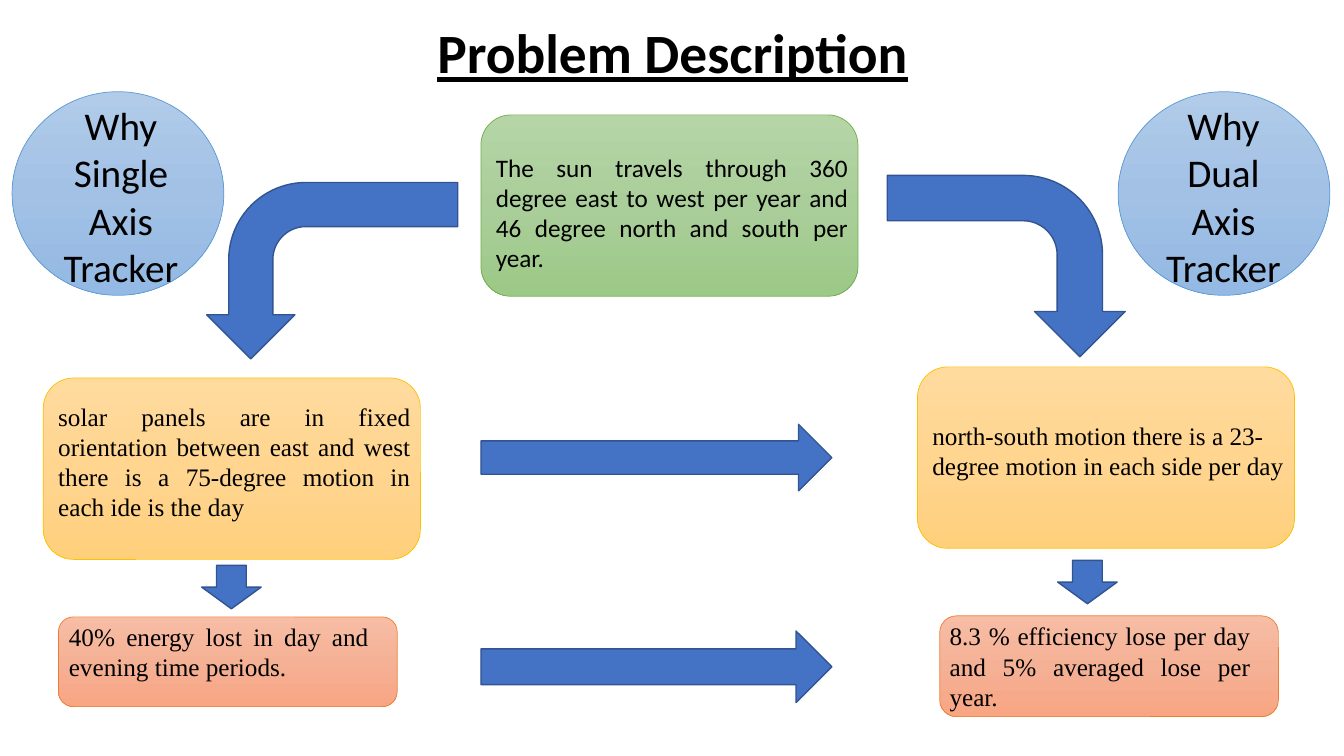
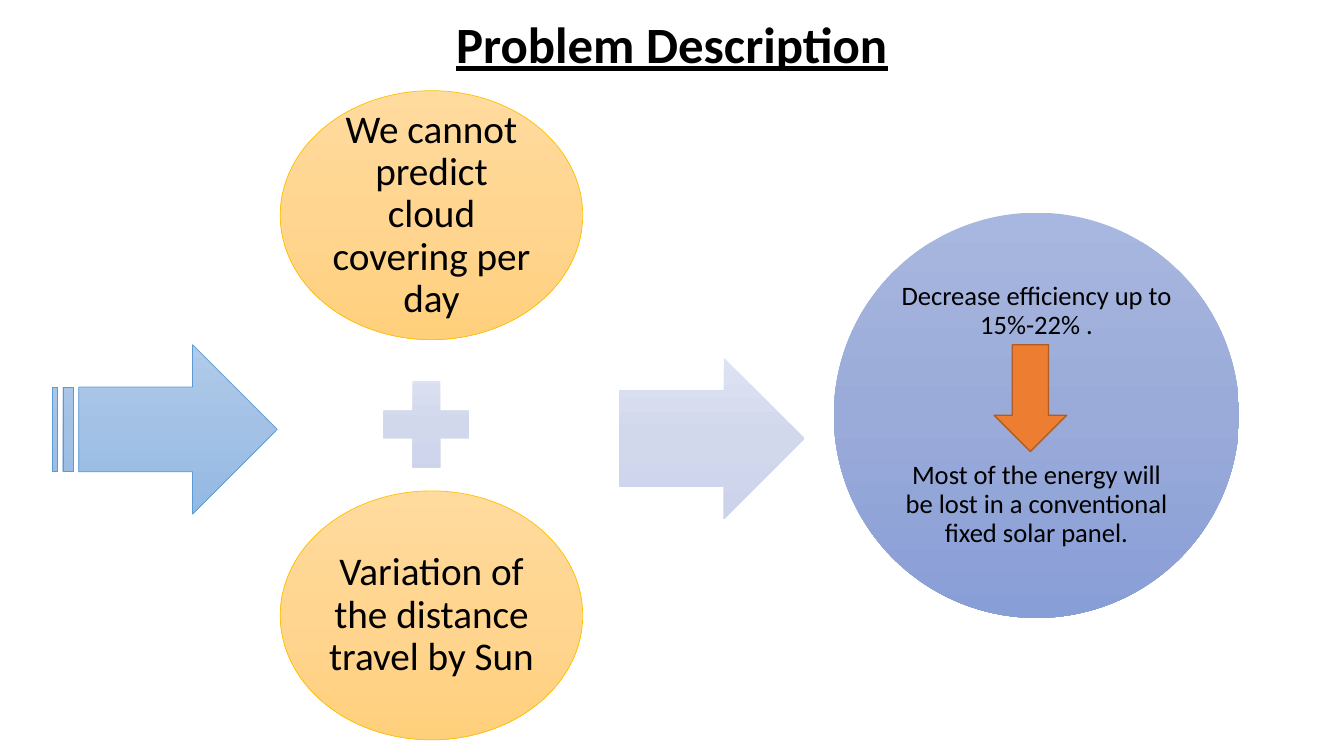
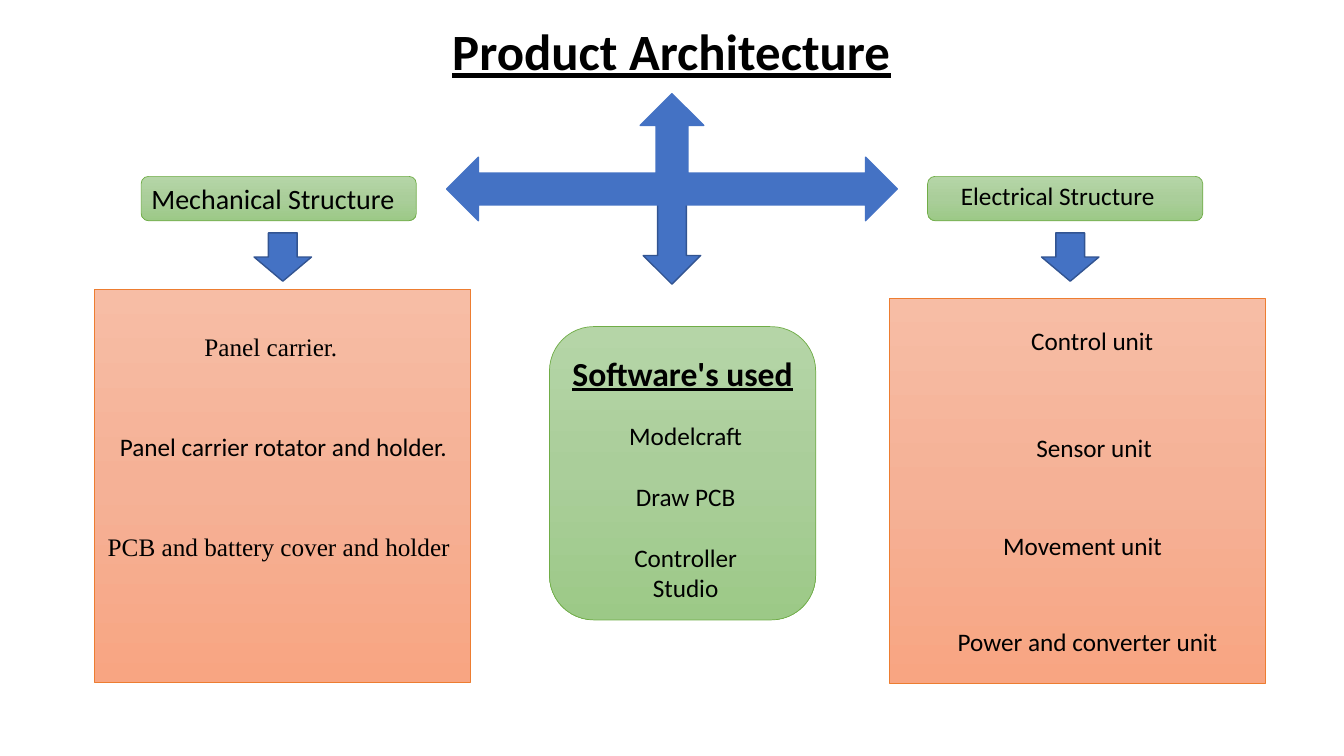
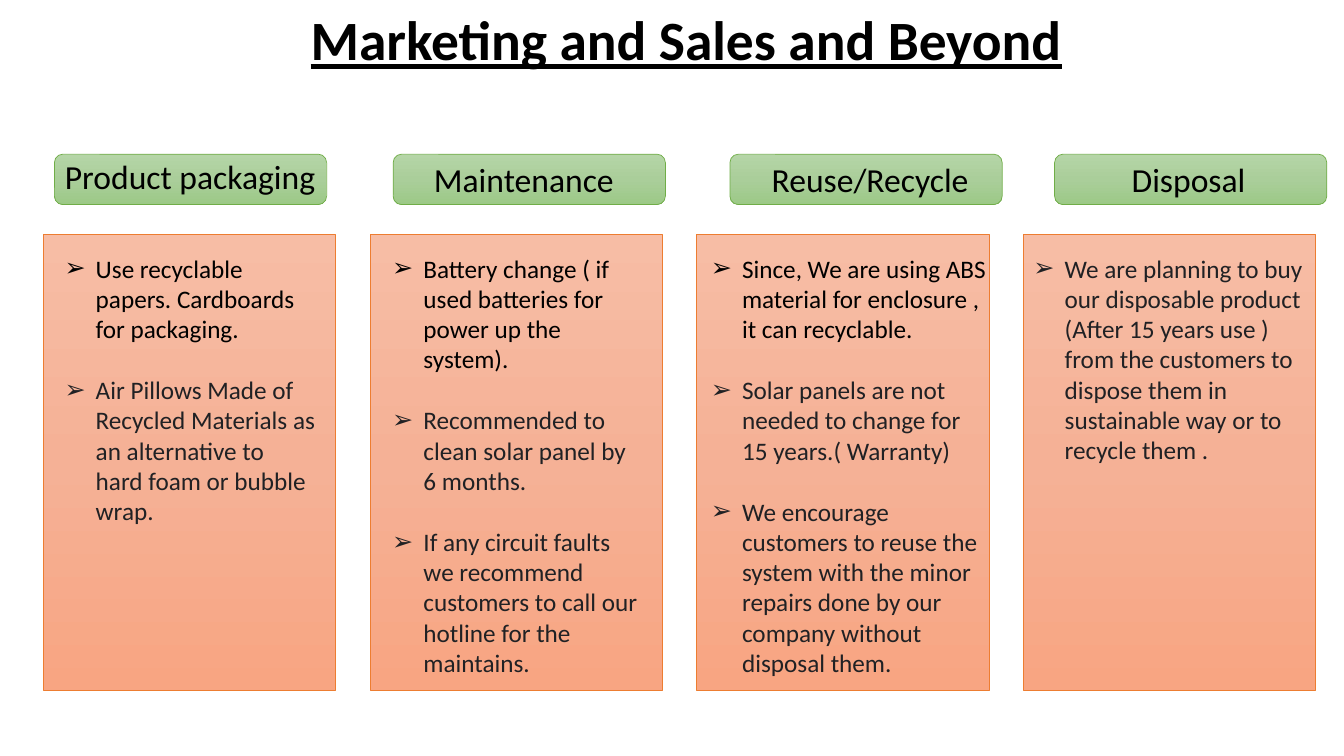
from copy import deepcopy
from dataclasses import dataclass

from lxml.etree import SubElement
from pptx import Presentation
from pptx.dml.color import RGBColor
from pptx.enum.shapes import MSO_SHAPE
from pptx.enum.text import MSO_ANCHOR, MSO_AUTO_SIZE, PP_ALIGN
from pptx.oxml.ns import qn
from pptx.util import Inches, Pt


@dataclass(frozen=True)
class Paint:
    stops: tuple
    line: str = ""
    width: float = 0.5


@dataclass(frozen=True)
class Theme:
    sky: Paint = Paint(("B1CBE9", "A3C1E5", "93B9E4"), "5B9BD5")
    peach: Paint = Paint(("F7BDA5", "F5B196", "F8A582"), "ED7D31")
    gold: Paint = Paint(("FFDB9E", "FFD590", "FFD07C"), "FFC000")
    green: Paint = Paint(("B5D5A7", "AACE9A", "9CC987"), "70AD47")
    pale: Paint = Paint(("DEE3F2", "D2D8EC", "CCD3EB"))
    violet: Paint = Paint(("A8B7DF", "9AABD9", "889ED7"))
    blue: Paint = Paint(("4472C4",), "325491", 1)
    plain_blue: Paint = Paint(("4472C4",), "4472C4", 1)
    orange: Paint = Paint(("ED7D31",), "AF5C24", 1)
    ink: str = "000000"
    soft_ink: str = "202124"
    sans: str = "Calibri"
    serif: str = "Times New Roman"
    title: float = 39.6
    small_title: float = 36.3
    large: float = 28
    heading: float = 24
    label: float = 20
    note: float = 19
    body: float = 18
    item_gap: float = 22
    bullet: str = "➢"
    bullet_indent: float = 0.31


THEME = Theme()
TITLE_AND_CONTENT, COMPARISON, TITLE_ONLY = 1, 4, 5


class Deck:
    def __init__(self, theme):
        self.theme = theme
        self.file = Presentation()
        self.file.slide_width = Inches(13.33)
        self.file.slide_height = Inches(7.5)
        self.page = None

    def add_page(self, layout, title, at, size, align=PP_ALIGN.CENTER):
        self.page = self.file.slides.add_slide(self.file.slide_layouts[layout])
        box = self.page.shapes.title
        self.place(box, at)
        self.set_text(box, [title], size, align=align, spacing=0.8,
                      anchor=MSO_ANCHOR.MIDDLE, bold=True, underline=True)

    def place(self, box, at):
        box.left, box.top, box.width, box.height = map(Inches, at)

    def paint(self, shape, paint):
        fill = shape.fill
        if len(paint.stops) == 1:
            fill.solid()
            fill.fore_color.rgb = RGBColor.from_string(paint.stops[0])
        else:
            fill.gradient()
            fill.gradient_angle = 270
            stop_list = shape._element.spPr.find(".//" + qn("a:gsLst"))
            stop_list.insert(1, deepcopy(stop_list[0]))
            for stop, color, position in zip(fill.gradient_stops, paint.stops, (0, 0.5, 1)):
                stop.color.rgb = RGBColor.from_string(color)
                stop.position = position
        if paint.line:
            shape.line.color.rgb = RGBColor.from_string(paint.line)
            shape.line.width = Pt(paint.width)
        else:
            shape.line.fill.background()

    def set_text(self, box, lines, size, font=None, align=PP_ALIGN.LEFT, spacing=1.0,
                 anchor=MSO_ANCHOR.TOP, insets=(0.1, 0.05, 0.1, 0.05), gap=0,
                 colors=None, bold=False, underline=False, bulleted=False):
        frame = box.text_frame
        frame.auto_size = MSO_AUTO_SIZE.NONE
        frame.word_wrap = True
        frame.vertical_anchor = anchor
        (frame.margin_left, frame.margin_top,
         frame.margin_right, frame.margin_bottom) = map(Inches, insets)
        frame.text = "\n".join(lines)
        for index, para in enumerate(frame.paragraphs):
            para.alignment = align
            para.line_spacing = spacing
            para.space_before = Pt(gap if index else 0)
            self.mark(para, bulleted)
            para.font.name = font or self.theme.sans
            para.font.size = Pt(size)
            para.font.bold = bold
            para.font.underline = underline
            color = colors[min(index, len(colors) - 1)] if colors else self.theme.ink
            para.font.color.rgb = RGBColor.from_string(color)

    def mark(self, para, bulleted):
        properties = para._p.get_or_add_pPr()
        indent = Inches(self.theme.bullet_indent) if bulleted else 0
        properties.set("marL", str(indent))
        properties.set("indent", str(-indent))
        if bulleted:
            SubElement(properties, qn("a:buChar")).set("char", self.theme.bullet)
        else:
            SubElement(properties, qn("a:buNone"))

    def shape(self, kind, at, paint, rotation=0, flipped=False):
        shape = self.page.shapes.add_shape(kind, *map(Inches, at))
        shape.shadow.inherit = False
        shape.rotation = rotation
        if flipped:
            shape._element.spPr.xfrm.set("flipV", "1")
        self.paint(shape, paint)
        return shape

    def card(self, at, paint, text, size, kind=MSO_SHAPE.ROUNDED_RECTANGLE, **style):
        self.set_text(self.shape(kind, at, paint), text, size, **style)

    def label(self, at, text, size, left, bottom=0):
        self.card(at, self.theme.green, [text], size,
                  anchor=MSO_ANCHOR.MIDDLE, insets=(left, 0, 0, bottom))

    def text(self, at, lines, size, **style):
        self.set_text(self.page.shapes.add_textbox(*map(Inches, at)), lines, size, **style)

    def list_card(self, index, at, paint, lines, **style):
        box = self.page.placeholders[index]
        self.place(box, at)
        self.paint(box, paint)
        self.set_text(box, lines, self.theme.body, gap=self.theme.item_gap, **style)


def tracker_page(deck):
    theme = deck.theme
    deck.add_page(TITLE_ONLY, "Problem Description", (2.17, 0.25, 9, 0.65), theme.title)
    for left, text_left, text_width, kind in ((0.12, 0.38, 1.64, "Single"),
                                              (11.09, 11.22, 1.83, "Dual")):
        deck.shape(MSO_SHAPE.OVAL, (left, 0.91, 2.1, 2.02), theme.sky)
        deck.text((text_left, 0.96, text_width, 1.99), ["Why", kind, "Axis", "Tracker"],
                  theme.large, align=PP_ALIGN.CENTER)

    justify, left = PP_ALIGN.JUSTIFY, PP_ALIGN.LEFT
    cards = (
        ((4.77, 1.14, 3.74, 1.8), theme.green, theme.sans, justify, (0.06, 0.28, 0.01, 0),
         "The sun travels through 360 degree east to west per year and 46 degree north and south per year."),
        ((0.43, 3.75, 3.74, 1.8), theme.gold, theme.serif, justify, (0.06, 0.14, 0.01, 0),
         "solar panels are in fixed orientation between east and west there is a 75-degree motion in each ide is the day"),
        ((9.1, 3.64, 3.74, 1.8), theme.gold, theme.serif, left, (0.06, 0.44, 0.01, 0),
         "north-south motion there is a 23-degree motion in each side per day"),
        ((0.58, 6.12, 3.36, 0.89), theme.peach, theme.serif, justify, (0.06, 0, 0.24, 0),
         "40% energy lost in day and evening time periods."),
        ((9.32, 6.11, 3.36, 1), theme.peach, theme.serif, justify, (0.05, 0, 0.23, 0),
         "8.3 % efficiency lose per day and 5% averaged lose per year."),
    )
    for at, paint, font, align, insets, text in cards:
        deck.card(at, paint, [text], theme.body, font=font, align=align, insets=insets)

    deck.shape(MSO_SHAPE.BENT_ARROW, (2.42, 1.44, 1.75, 2.49), theme.blue, 90, True)
    deck.shape(MSO_SHAPE.BENT_ARROW, (9.08, 1.46, 1.8, 2.36), theme.blue, 90)
    for at in ((10.49, 5.56, 0.59, 0.43), (2, 5.61, 0.59, 0.43)):
        deck.shape(MSO_SHAPE.DOWN_ARROW, at, theme.blue)
    for at in ((4.77, 4.21, 3.48, 0.66), (4.77, 6.26, 3.48, 0.71)):
        deck.shape(MSO_SHAPE.RIGHT_ARROW, at, theme.blue)


def efficiency_page(deck):
    theme = deck.theme
    deck.add_page(TITLE_ONLY, "Problem Description", (4.28, 0.16, 4.77, 0.65), theme.small_title)
    centered = dict(kind=MSO_SHAPE.OVAL, align=PP_ALIGN.CENTER,
                    anchor=MSO_ANCHOR.MIDDLE, spacing=0.9)
    for top, cause in ((0.9, "We cannot predict cloud covering per day"),
                       (4.87, "Variation of the distance travel by Sun")):
        deck.card((2.78, top, 3, 2.47), theme.gold, [cause], theme.large,
                  insets=(0.04,) * 4, **centered)
    deck.shape(MSO_SHAPE.MATH_PLUS, (3.65, 3.63, 1.16, 1.16), theme.pale)
    result_arrow = deck.shape(MSO_SHAPE.RIGHT_ARROW, (6.14, 3.55, 1.84, 1.6), theme.pale)
    result_arrow.adjustments[0] = 0.6
    deck.card((8.27, 2.11, 4.02, 4.02), theme.violet,
              ["Decrease efficiency up to 15%-22% .",
               "Most of the energy will be lost in a conventional fixed solar panel."],
              theme.note, insets=(0.03,) * 4, gap=87, **centered)
    deck.shape(MSO_SHAPE.STRIPED_RIGHT_ARROW, (0.52, 3.42, 2.23, 1.68), theme.sky)
    deck.shape(MSO_SHAPE.DOWN_ARROW, (9.86, 3.42, 0.72, 1.06), theme.orange)


def architecture_page(deck):
    theme = deck.theme
    deck.add_page(TITLE_AND_CONTENT, "Product Architecture", (4.23, 0.23, 4.86, 0.65),
                  theme.small_title)
    deck.shape(MSO_SHAPE.DOWN_ARROW, (6.38, 1.95, 0.57, 0.87), theme.blue)
    for at in ((0.94, 2.87, 3.73, 3.9), (8.82, 2.96, 3.73, 3.82)):
        deck.shape(MSO_SHAPE.RECTANGLE, at, theme.peach)
    deck.label((1.4, 1.75, 2.73, 0.44), "Mechanical Structure", theme.label, 0.08)
    deck.label((9.2, 1.75, 2.73, 0.44), "Electrical Structure", theme.body, 0.31, 0.06)

    parts = (
        (1.93, 3.24, 1.74, "Panel carrier.", theme.serif),
        (1.09, 4.23, 3.65, "Panel carrier rotator and holder.", theme.sans),
        (0.97, 5.22, 3.65, "PCB and battery cover and holder", theme.serif),
        (10.13, 3.18, 1.74, "Control unit", theme.sans),
        (10.18, 4.24, 1.43, "Sensor unit", theme.sans),
        (9.85, 5.21, 2.02, "Movement unit", theme.sans),
        (9.4, 6.16, 2.89, "Power and converter unit", theme.sans),
    )
    for left, top, width, part, font in parts:
        deck.text((left, top, width, 0.4), [part], theme.body, font=font)
    for left in (2.52, 10.33):
        deck.shape(MSO_SHAPE.DOWN_ARROW, (left, 2.31, 0.57, 0.48), theme.blue)
    deck.shape(MSO_SHAPE.LEFT_RIGHT_UP_ARROW, (4.43, 0.93, 4.47, 1.26), theme.plain_blue)

    deck.shape(MSO_SHAPE.ROUNDED_RECTANGLE, (5.45, 3.24, 2.64, 2.91), theme.green)
    software = deck.page.placeholders[1]
    deck.place(software, (5.93, 4.12, 1.74, 1.92))
    deck.set_text(software, ["Modelcraft", "Draw PCB", "Controller Studio"], theme.body,
                  align=PP_ALIGN.CENTER, gap=theme.item_gap)
    deck.page.shapes._spTree.append(software._element)
    deck.text((5.54, 3.45, 2.46, 0.5), ["Software's used"], theme.heading,
              align=PP_ALIGN.CENTER, bold=True, underline=True)


def marketing_page(deck):
    theme = deck.theme
    deck.add_page(COMPARISON, "Marketing and Sales and Beyond", (2.98, 0.12, 9, 0.65),
                  theme.title, PP_ALIGN.LEFT)
    black_first = (theme.ink, theme.soft_ink)
    columns = (
        ("Product packaging", 0.54, 0.08, 0.06, (0.21, 0.19), black_first,
         ["Use recyclable papers. Cardboards for packaging.",
          "Air Pillows Made of Recycled Materials as an alternative to hard foam or bubble wrap."]),
        ("Maintenance", 3.9, 0.38, 0, (0.22, 0.18), black_first,
         ["Battery change ( if used batteries for power up the system).",
          "Recommended to clean solar panel by 6 months.",
          "If any circuit faults we recommend customers to call our hotline for the maintains."]),
        ("Reuse/Recycle", 7.24, 0.39, 0, (0.14, 0), black_first,
         ["Since, We are using ABS material for enclosure , it can recyclable.",
          "Solar panels are not needed to change for 15 years.( Warranty)",
          "We encourage customers to reuse the system with the minor repairs done by our company without disposal them."]),
        ("Disposal", 10.46, 0.74, 0, (0.1, 0.1), (theme.soft_ink,),
         ["We are planning to buy our disposable product (After 15 years use ) from the customers to dispose them in sustainable way or to recycle them ."]),
    )
    for index, (name, left, indent, lift, sides, colors, points) in enumerate(columns):
        deck.label((left, 1.53, 2.7, 0.5), name, theme.heading, indent, lift)
        deck.list_card(index + 1, (0.43 + 3.24 * index, 2.33, 2.9, 4.52), theme.peach, points,
                       insets=(sides[0], 0.18, sides[1], 0), colors=colors, bulleted=True)


def main():
    deck = Deck(THEME)
    for build in (tracker_page, efficiency_page, architecture_page, marketing_page):
        build(deck)
    deck.file.save("out.pptx")


if __name__ == "__main__":
    main()
